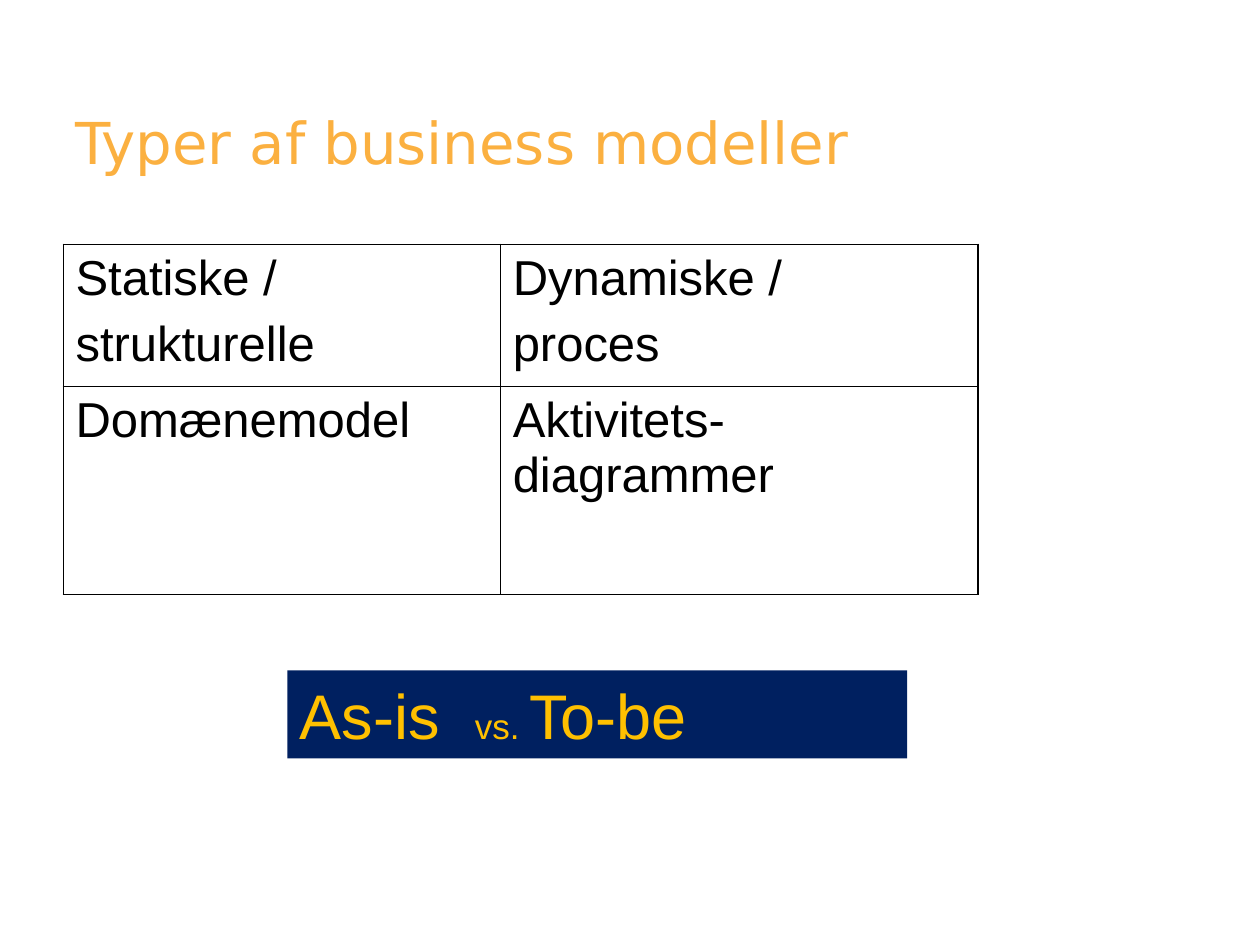
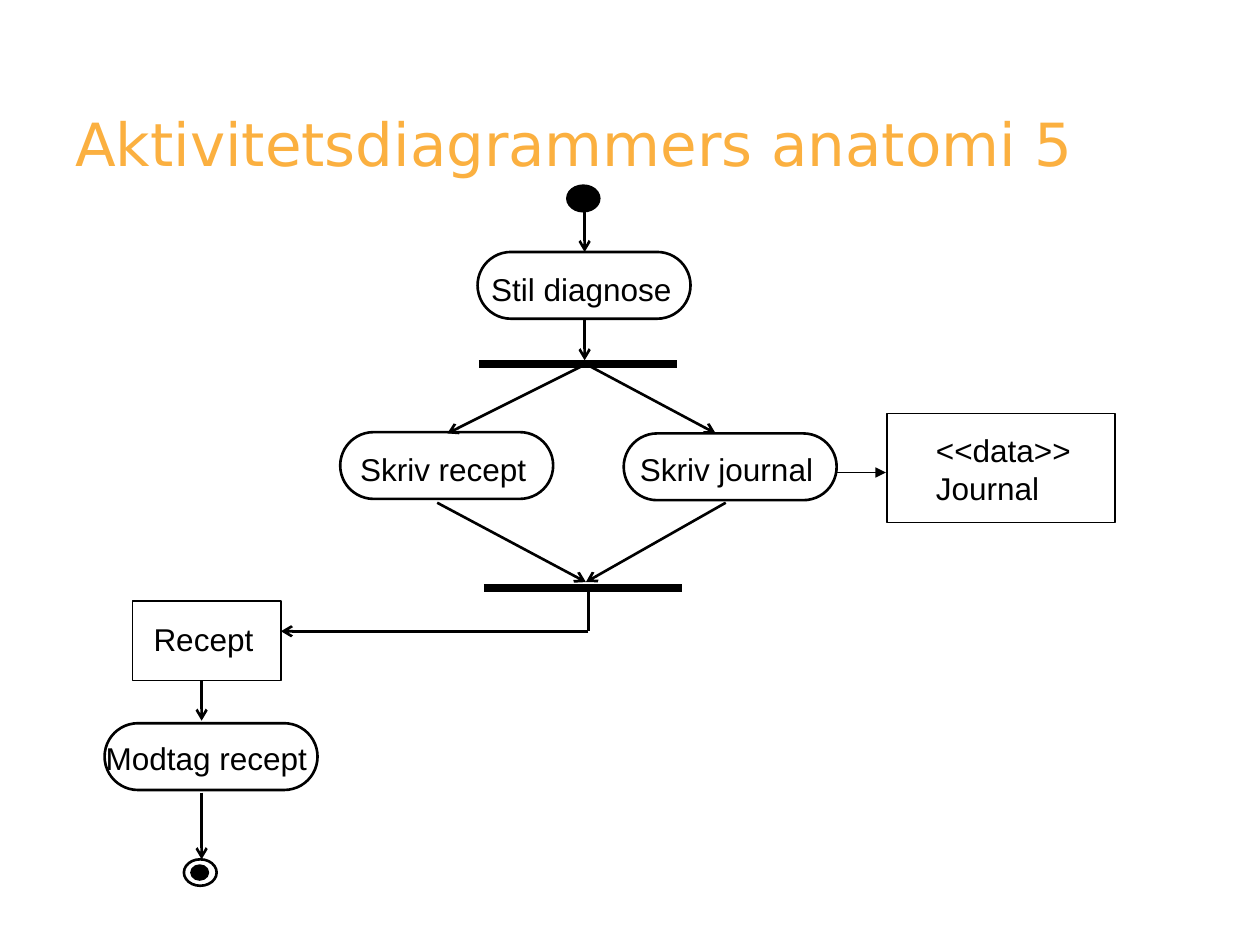
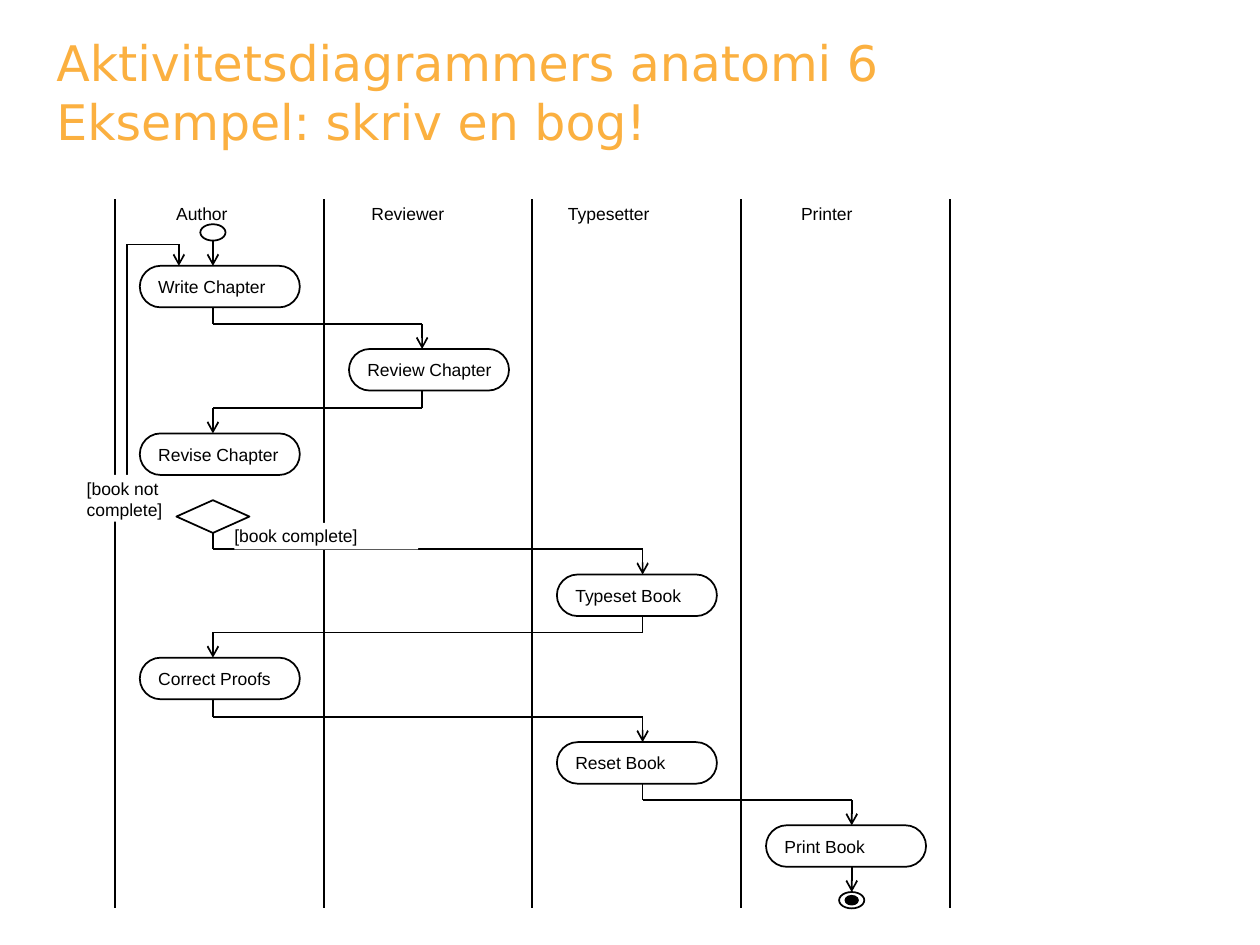
from dataclasses import dataclass
from itertools import pairwise

from lxml import etree
from pptx import Presentation
from pptx.dml.color import RGBColor
from pptx.enum.shapes import MSO_CONNECTOR, MSO_SHAPE
from pptx.enum.text import MSO_ANCHOR, MSO_AUTO_SIZE, PP_ALIGN
from pptx.oxml.ns import qn
from pptx.util import Pt

PX = 9144
STRAIGHT = MSO_CONNECTOR.STRAIGHT
RECT = MSO_SHAPE.RECTANGLE
ROUND = MSO_SHAPE.ROUNDED_RECTANGLE
OVAL = MSO_SHAPE.OVAL
DIAMOND = MSO_SHAPE.DIAMOND
TOP, MIDDLE = MSO_ANCHOR.TOP, MSO_ANCHOR.MIDDLE
GROW, FIXED = MSO_AUTO_SIZE.SHAPE_TO_FIT_TEXT, MSO_AUTO_SIZE.NONE
LEFT = PP_ALIGN.LEFT

COLORS = {
    "title": "FBB040",
    "ink": "000000",
    "paper": "FFFFFF",
    "banner": "002060",
    "banner_text": "FFC000",
}
TITLE_FONT, BODY_FONT = "DejaVu Sans", "Arial"
LABEL = {"word_wrap": False, "auto_size": GROW, "vertical_anchor": TOP}
WRAPPED = {"word_wrap": True, "auto_size": FIXED, "vertical_anchor": TOP}
CENTERED = {"word_wrap": False, "auto_size": FIXED, "vertical_anchor": MIDDLE}


@dataclass
class Box:
    left: int
    top: int
    width: int
    height: int

    def inside(self, left, top, width, height):
        return Box(self.left + left, self.top + top, width, height)

    def emu(self):
        return [round(value) * PX for value in (self.left, self.top, self.width, self.height)]


def color(name):
    return RGBColor.from_string(COLORS[name])


def apply(target, values):
    for name, value in values.items():
        setattr(target, name, value)


def style_span(span, size, font=BODY_FONT, ink="ink"):
    apply(span.font, {"name": font, "size": Pt(size)})
    span.font.color.rgb = color(ink)


def write(frame, lines, size, font=BODY_FONT, ink="ink", before=0):
    for index, line in enumerate(lines):
        para = frame.paragraphs[0] if index == 0 else frame.add_paragraph()
        apply(para, {"alignment": LEFT, "space_before": Pt(before)})
        span = para.add_run()
        span.text = line
        style_span(span, size, font, ink)


def set_margins(frame, side=10, end=5, left=None):
    left = side if left is None else left
    apply(frame, {
        "margin_left": left * PX,
        "margin_right": side * PX,
        "margin_top": end * PX,
        "margin_bottom": end * PX,
    })


def add_text(page, box, lines, size, layout=LABEL, **style):
    frame = page.shapes.add_textbox(*box.emu()).text_frame
    set_margins(frame)
    apply(frame, layout)
    write(frame, lines, size, **style)


def add_title(page, box, lines, size):
    add_text(page, box, lines, size, WRAPPED, font=TITLE_FONT, ink="title")


def add_outline(page, kind, box, width=1.0, fill=None):
    shape = page.shapes.add_shape(kind, *box.emu())
    shape.shadow.inherit = False
    if kind == ROUND:
        shape.adjustments[0] = 0.5
    if fill:
        shape.fill.solid()
        shape.fill.fore_color.rgb = color(fill)
    else:
        shape.fill.background()
    if width:
        shape.line.width = Pt(width)
        shape.line.color.rgb = color("ink")
    else:
        shape.line.fill.background()
    return shape


def add_route(page, area, points, width=1.0, head=None):
    for index, (start, end) in enumerate(pairwise(points), 2):
        ends = [
            round(offset + value) * PX
            for point in (start, end)
            for offset, value in zip((area.left, area.top), point)
        ]
        line = page.shapes.add_connector(STRAIGHT, *ends)
        line.line.width = Pt(width)
        line.line.color.rgb = color("ink")
        properties = line.line._get_or_add_ln()
        if head and index == len(points):
            etree.SubElement(properties, qn("a:tailEnd"), type=head)
        etree.SubElement(properties.getparent(), qn("a:effectLst"))


def add_final_node(page, outer, inner, width, fill=None):
    add_outline(page, OVAL, outer, width, fill)
    add_outline(page, OVAL, inner, width, "ink")


def set_borders(cell, widths):
    properties = cell._tc.get_or_add_tcPr()
    for index, (side, width) in enumerate(widths.items()):
        border = etree.Element(qn(f"a:{side}"), w=str(Pt(width)))
        fill = etree.SubElement(border, qn("a:solidFill"))
        etree.SubElement(fill, qn("a:srgbClr"), val=COLORS["ink"])
        properties.insert(index, border)


def add_model_table(page, box):
    rows = [
        [["Statiske /", "strukturelle"], ["Dynamiske /", "proces"]],
        [["Domænemodel"], ["Aktivitets-diagrammer"]],
    ]
    table = page.shapes.add_table(2, 2, *box.emu()).table
    apply(table, {"first_row": False, "horz_banding": False})
    for column, width in zip(table.columns, (347, 379)):
        column.width = width * PX
    for row, height in zip(table.rows, (113, 165)):
        row.height = height * PX
    for row_index, row in enumerate(rows):
        for column_index, lines in enumerate(row):
            cell = table.cell(row_index, column_index)
            set_margins(cell)
            cell.fill.background()
            set_borders(cell, {
                "lnL": 0.45,
                "lnR": 1.08 if column_index == 1 else 0.45,
                "lnT": 1.08 if row_index == 0 else 0.45,
                "lnB": 0.45,
            })
            write(cell.text_frame, lines, 28, before=7)


def add_banner(page, box):
    frame = add_outline(page, RECT, box, 0, "banner").text_frame
    set_margins(frame)
    apply(frame, {**WRAPPED, "auto_size": GROW})
    para = frame.paragraphs[0]
    apply(para, {"alignment": LEFT, "space_before": Pt(9)})
    stops = etree.SubElement(para._p.get_or_add_pPr(), qn("a:tabLst"))
    etree.SubElement(stops, qn("a:tab"), pos=str(139 * PX), algn="l")
    for text, size in (("As-is\t", 36), ("vs. ", 20), ("To-be", 36)):
        span = para.add_run()
        span.text = text
        style_span(span, size, ink="banner_text")


def add_prescription_flow(page, area):
    activities = [
        ("Stil diagnose", (304, 53), (305, 62, 165, 40)),
        ("Skriv recept", (195, 196), (201, 205, 154, 40)),
        ("Skriv journal", (420, 197), (423, 205, 160, 40)),
        ("Modtag recept", (8, 427), (-1, 435, 182, 40)),
    ]
    data_objects = [
        (["Recept"], (30, 330, 118, 63), (37, 340, 101, 40)),
        (["<<data>>", "Journal"], (629, 181, 181, 87), (658, 190, 129, 70)),
    ]
    arrows = [
        [(389, 21), (389, 53)],
        [(389, 107), (389, 139)],
        [(390, 142), (280, 197)],
        [(390, 142), (493, 197)],
        [(272, 252), (390, 315)],
        [(501, 252), (390, 315)],
        [(392, 323), (392, 354), (148, 354)],
        [(85, 393), (85, 425)],
        [(85, 482), (85, 535)],
    ]
    add_outline(page, OVAL, area.inside(375, 0, 26, 21), 1, "ink")
    add_final_node(page, area.inside(71, 535, 26, 21), area.inside(77, 540, 13, 11), 1.5, "paper")
    for text, corner, label in activities:
        add_outline(page, ROUND, area.inside(*corner, 169, 53), 1.5, "paper")
        add_text(page, area.inside(*label), [text], 18)
    for lines, frame, label in data_objects:
        add_outline(page, RECT, area.inside(*frame), 0.75)
        add_text(page, area.inside(*label), lines, 18)
    for left, top in ((305, 142), (309, 320)):
        add_route(page, area, [(left, top), (left + 157, top)], 4.5)
    for points in arrows:
        add_route(page, area, points, 1.5, "arrow")
    add_route(page, area, [(589, 228), (628, 228)], 0.75, "triangle")


def add_guard(page, box, lines, left_margin):
    frame = add_outline(page, RECT, box, 0, "paper").text_frame
    set_margins(frame, end=2, left=left_margin)
    apply(frame, {**WRAPPED, "auto_size": GROW})
    write(frame, lines, 10)


def add_swimlanes(page, area):
    lanes = [("Author", 39, 63), ("Reviewer", 194, 80), ("Typesetter", 350, 87), ("Printer", 535, 63)]
    flow_x = [78, 244, 419, 585]
    chapter_steps = [("Write Chapter", 0), ("Review Chapter", 1), ("Revise Chapter", 0)]
    book_steps = [("Typeset Book", 2), ("Correct Proofs", 0), ("Reset Book", 2), ("Print Book", 3)]
    lane_width, step_gap, step_height = area.width / len(lanes), 66.4, 33
    decision = area.inside(49, 239, 58, 26)
    steps = [
        (text, lane, first + step_gap * index)
        for first, group in ((53, chapter_steps), (298, book_steps))
        for index, (text, lane) in enumerate(group)
    ]

    for index in range(len(lanes) + 1):
        edge = lane_width * index
        add_route(page, area, [(edge, 0), (edge, area.height)])
    for name, left, width in lanes:
        add_text(page, area.inside(left, -2, width, 27), [name], 10)

    for (text, lane, top), (_, next_lane, next_top) in pairwise(steps):
        bottom = 265 if text == "Revise Chapter" else top + step_height
        turn = next_top - 20
        start, end = flow_x[lane], flow_x[next_lane]
        add_route(page, area, [(start, bottom), (start, turn), (end, turn), (end, next_top)], head="arrow")
    add_route(page, area, [(78, 33), (78, 53)], head="arrow")
    add_route(page, area, [(10, 252), (10, 36), (51, 36), (51, 53)], head="arrow")
    add_route(page, area, [(585, 530), (585, 550)], head="arrow")

    add_guard(page, area.inside(95, 257, 146, 21), ["[book complete]"], 0)
    add_guard(page, area.inside(-32, 219, 124, 37), ["[book not", "complete]"], 10)
    for text, lane, top in steps:
        box = area.inside(lane_width * lane + 20, top, 127, step_height)
        frame = add_outline(page, ROUND, box).text_frame
        set_margins(frame)
        apply(frame, CENTERED)
        write(frame, [text], 10)
    add_outline(page, OVAL, area.inside(68, 20, 20, 13))
    add_final_node(page, area.inside(575, 550, 20, 13), area.inside(580, 553, 10, 7), 1)
    add_outline(page, DIAMOND, decision)


def main():
    deck = Presentation()
    apply(deck, {"slide_width": 1000 * PX, "slide_height": 750 * PX})
    types, anatomy, book = [deck.slides.add_slide(deck.slide_layouts[6]) for _ in range(3)]

    add_title(types, Box(50, 80, 900, 125), ["Typer af business modeller"], 33)
    add_model_table(types, Box(50, 194, 726, 278))
    add_banner(types, Box(228, 532, 492, 70))

    add_title(anatomy, Box(50, 80, 900, 74), ["Aktivitetsdiagrammers anatomi 5"], 34)
    add_prescription_flow(anatomy, Box(75, 147, 810, 556))

    add_title(book, Box(35, 21, 900, 118), ["Aktivitetsdiagrammers anatomi 6", "Eksempel: skriv en bog!"], 28)
    add_swimlanes(book, Box(91, 158, 663, 563))

    deck.save("out.pptx")


if __name__ == "__main__":
    main()
